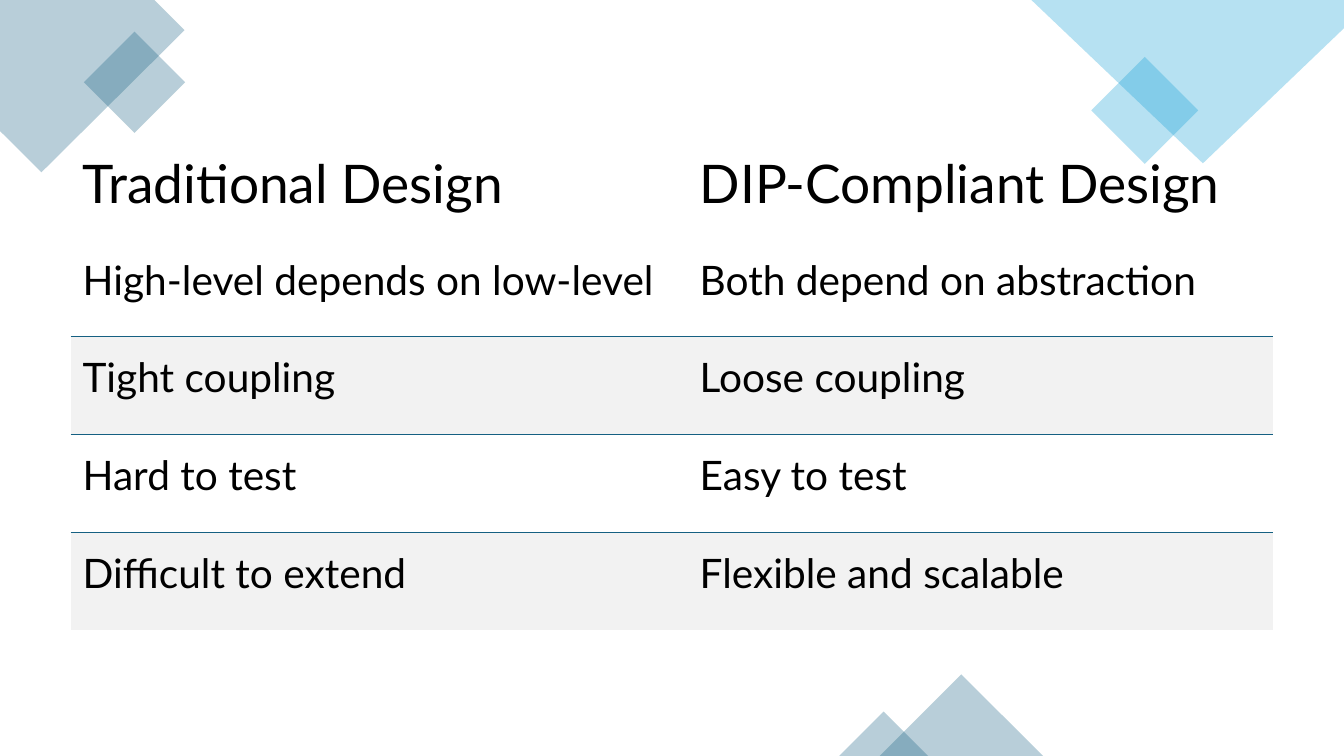
"""Build a slide that compares traditional design with DIP-compliant design."""
from lxml import etree
from pptx import Presentation, util as u
from pptx.dml.color import RGBColor
from pptx.enum import shapes, text
from pptx.oxml import ns

TEAL = RGBColor(0x15, 0x60, 0x82)
SKY = RGBColor(0x0F, 0x9E, 0xD5)
GREY = RGBColor(0xF2, 0xF2, 0xF2)
BLACK = RGBColor(0, 0, 0)
FONT = "Lato"
PLAIN = "{2D5ABB26-0587-4C30-8999-92F81FD0307C}"
WIDE, HIGH = u.Inches(13.33), u.Inches(7.5)
COLS = (45.91, 43.59)
HEAD, BODY = 15.07, 12.93
ROWS = (
    ("Traditional Design", "DIP-Compliant Design"),
    ("High-level depends on low-level", "Both depend on abstraction"),
    ("Tight coupling", "Loose coupling"),
    ("Hard to test", "Easy to test"),
    ("Difficult to extend", "Flexible and scalable"),
)


def across(share):
    """Turn a percentage of the slide width into a length."""
    return u.Emu(round(WIDE * share / 100))


def down(share):
    """Turn a percentage of the slide height into a length."""
    return u.Emu(round(HIGH * share / 100))


def tint(shape, color):
    """Give a shape a see-through fill and no line or shadow."""
    shape.shadow.inherit = False
    shape.line.fill.background()
    shape.fill.solid()
    shape.fill.fore_color.rgb = color
    tone = shape.fill._xPr.find(".//" + ns.qn("a:srgbClr"))
    etree.SubElement(tone, ns.qn("a:alpha"), val="30000")


def outline(slide, points, color):
    """Draw a closed polygon through points given as slide shares."""
    spots = [(across(x), down(y)) for x, y in points]
    pen = slide.shapes.build_freeform(*spots[0])
    pen.add_line_segments(spots[1:], close=True)
    tint(pen.convert_to_shape(), color)


def diamond(slide, x, y, side, color):
    """Draw a square turned on its corner around a centre."""
    size = across(side)
    box = slide.shapes.add_shape(
        shapes.MSO_SHAPE.RECTANGLE,
        across(x) - size // 2, down(y) - size // 2, size, size)
    box.rotation = 315
    tint(box, color)


def peak(slide, x, y, color):
    """Draw a triangle that rises from the foot of the slide."""
    half = HIGH - down(y)
    tint(slide.shapes.add_shape(
        shapes.MSO_SHAPE.ISOSCELES_TRIANGLE,
        across(x) - half, down(y), half * 2, half), color)


def write(frame, words, size=29, color=BLACK, font=FONT):
    """Put formatted words into a text frame."""
    run = frame.paragraphs[0].add_run()
    run.text = words
    run.font.size = u.Pt(size)
    run.font.name = font
    run.font.color.rgb = color


def rule(cell, color, width=1):
    """Draw a line along the top of a cell."""
    line = etree.Element(ns.qn("a:lnT"), w=str(u.Pt(width)))
    fill = etree.SubElement(line, ns.qn("a:solidFill"))
    etree.SubElement(fill, ns.qn("a:srgbClr"), val=str(color))
    cell._tc.get_or_add_tcPr().insert(0, line)


def dress(cell, words, row):
    """Fill one table cell according to its row."""
    cell.margin_left = cell.margin_right = across(0.9)
    cell.margin_top, cell.margin_bottom = down(2.13), down(3.2)
    head = row == 0
    cell.vertical_anchor = (
        text.MSO_ANCHOR.BOTTOM if head else text.MSO_ANCHOR.TOP)
    write(cell.text_frame, words, size=38 if head else 29)
    if row and row % 2 == 0:
        cell.fill.solid()
        cell.fill.fore_color.rgb = GREY
        rule(cell, TEAL)
    else:
        cell.fill.background()


def compare(slide):
    """Add the table of both designs."""
    tall = HEAD + BODY * (len(ROWS) - 1)
    grid = slide.shapes.add_table(
        len(ROWS), len(COLS), across(5.25), down(16.53),
        across(sum(COLS)), down(tall)).table
    grid.horz_banding = False
    grid._tbl.tblPr.find(ns.qn("a:tableStyleId")).text = PLAIN
    for col, share in zip(grid.columns, COLS):
        col.width = across(share)
    for r, words in enumerate(ROWS):
        grid.rows[r].height = down(BODY if r else HEAD)
        for c, word in enumerate(words):
            dress(grid.cell(r, c), word, r)


def main():
    """Build and save the slide."""
    deck = Presentation()
    deck.slide_width, deck.slide_height = WIDE, HIGH
    slide = deck.slides.add_slide(deck.slide_layouts[6])
    outline(slide, [(0, 0), (11.48, 0), (13.73, 4), (3.08, 22.8),
                    (0, 17.33)], TEAL)
    diamond(slide, 10.01, 10.87, 5.33, TEAL)
    diamond(slide, 85.18, 14.6, 5.63, SKY)
    outline(slide, [(76.74, 0), (100, 0), (100, 3.73), (89.5, 21.6)], SKY)
    peak(slide, 71.53, 89.2, TEAL)
    peak(slide, 65.75, 94.13, TEAL)
    compare(slide)
    deck.save("out.pptx")


if __name__ == "__main__":
    main()
